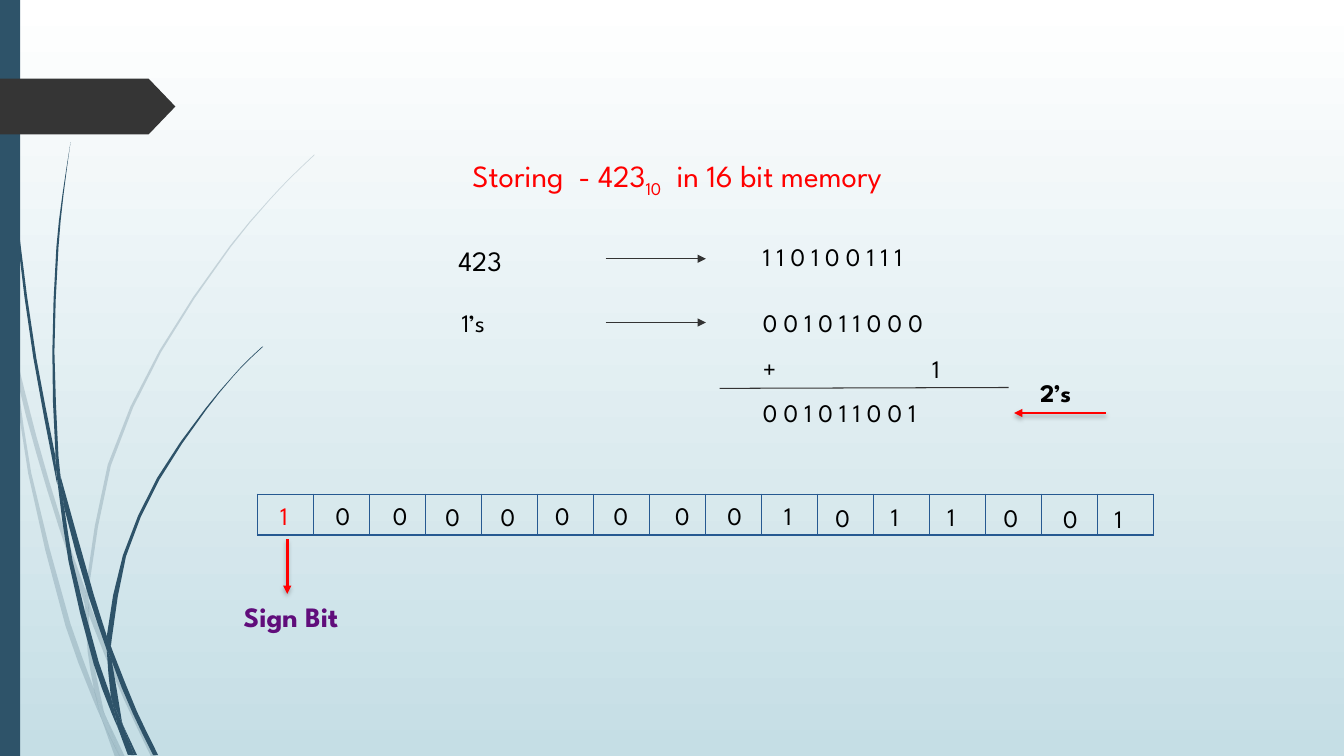
import math
from dataclasses import dataclass

from lxml import etree
from pptx import Presentation, util as u
from pptx.dml import color
from pptx.enum import shapes, text
from pptx.oxml import ns


@dataclass(frozen=True)
class Theme:
    font: str = "League Spartan"
    title_size: int = 22
    label_size: int = 20
    body_size: int = 18
    black: str = "000000"
    red: str = "FF0000"
    purple: str = "600D7B"
    navy: str = "2E5369"
    charcoal: str = "353535"
    line: str = "333333"
    grid: str = "265991"
    sky_top: str = "FFFFFF"
    sky_bottom: str = "C5DEE5"


@dataclass(frozen=True)
class Box:
    left: float
    top: float
    width: float
    height: float

    def lengths(self):
        return [u.Pt(value) for value in (self.left, self.top, self.width, self.height)]


THEME = Theme()

PALE_BLADES = [
    ([(0, 203), (6.5, 231.8), (7.9, 252)], [(7.2, 247.7), (0, 215.3)]),
    ([(10.1, 248.4), (12.2, 270.7), (25.9, 323.6), (41.8, 375.8), (60.5, 431.3)],
     [(61.2, 421.9), (44.6, 374.4), (26, 311.8), (10.1, 248.4)]),
    ([(63.4, 429.1), (63.4, 439.2), (88.6, 499.7), (108, 540.7)],
     [(111.6, 540.7), (91.4, 498.2), (66.2, 437), (63.4, 429.1)]),
    ([(75.6, 511.9), (85.7, 540.7)], [(89.3, 540.7), (75.6, 511.9)]),
    ([(7.9, 252), (20.2, 338.4), (46.8, 447.1), (66.2, 499), (72.7, 514.1)],
     [(71.3, 509), (67, 491.8), (50.4, 445.7), (22.3, 337.7), (12.2, 270.7), (7.9, 252)]),
    ([(60.5, 431.3), (62.6, 465.1), (67, 491.8), (69.1, 498.2), (75.6, 511.9)],
     [(74.2, 508.3), (65.5, 465.1), (63.4, 439.2), (63.4, 437.8), (60.5, 431.3)]),
    ([(224.6, 110.2), (208.1, 126), (193, 141.8), (164.2, 175.7), (113.8, 250.6),
      (77, 331.9), (61.2, 420.5), (61.2, 421.9), (63.4, 429.1)],
     [(63.4, 420.5), (79.2, 332.6), (115.2, 251.3), (164.9, 176.4), (193, 142.6),
      (208.8, 126), (224.6, 110.9)]),
    ([(72.7, 514.1), (82.1, 540.7)], [(85.7, 540.7), (72.7, 514.1)]),
    ([(61.2, 421.9), (60.5, 431.3)], [(63.4, 437.8), (63.4, 429.1)]),
    ([(67, 491.8), (71.3, 509), (72.7, 514.1), (85.7, 540.7)],
     [(75.6, 511.9), (69.1, 498.2), (67, 491.8)]),
]
DARK_BLADES = [
    ([(2.2, 0), (2.9, 34.6), (5, 79.2), (12.2, 167.8), (23.8, 255.6), (40.3, 343.4), (41, 346.3)],
     [(39.6, 329), (39.6, 326.2), (25.9, 255.6), (13.7, 167), (5.8, 78.5), (3.6, 34.6), (2.9, 0)]),
    ([(43.2, 339.8), (46.1, 363.6), (63.4, 426.2), (76.3, 464.4)],
     [(76.3, 455.8), (76.3, 454.3), (67, 424.8), (43.2, 339.8)]),
    ([(79.2, 461.5), (79.9, 472.3), (95, 509.8), (109.4, 539.3)],
     [(113, 539.3), (97.9, 508.3), (81.4, 467.3), (79.2, 461.5)]),
    ([(41, 343.4), (49, 401), (67, 474.5), (79.9, 509.8), (84.2, 519.8)],
     [(83.5, 516.2), (79.2, 497.5), (70.6, 473), (51.8, 400.3), (46.1, 363.6), (41, 343.4)]),
    ([(50.4, 101.5), (44.6, 139), (40.3, 176.4), (37.4, 251.3), (39.6, 323.3), (43.2, 339.8)],
     [(41.8, 326.2), (38.9, 251.3), (41.8, 176.4), (45.4, 139), (50.4, 101.5)]),
    ([(87.8, 517.7), (95.8, 539.3)], [(97.9, 539.3), (87.8, 517.7)]),
    ([(39.6, 323.3), (39.6, 326.2), (41, 343.4), (46.1, 363.6)], [(43.2, 339.8), (39.6, 323.3)]),
    ([(187.2, 247.7), (176.4, 257.8), (166.3, 268.6), (146.9, 291.6), (112.3, 341.3),
      (87.8, 396.7), (76.3, 454.3), (79.2, 461.5)],
     [(79.9, 455.8), (90, 397.4), (113.8, 342.7), (147.6, 292.3), (166.3, 269.3),
      (176.4, 258.5), (187.9, 247.7)]),
    ([(84.2, 519.8), (91.4, 539.3)], [(94.3, 539.3), (84.2, 519.8)]),
    ([(76.3, 464.4), (79.2, 497.5), (83.5, 508.3), (87.8, 517.7)],
     [(87.1, 515.5), (79.9, 472.3), (78.5, 468.7), (76.3, 464.4)]),
    ([(76.3, 454.3), (76.3, 464.4)], [(78.5, 468.7), (79.9, 472.3), (79.2, 461.5)]),
    ([(79.2, 497.5), (83.5, 516.2), (84.2, 519.8), (93.6, 539.3)],
     [(95.8, 539.3), (87.8, 517.7), (83.5, 508.3), (79.2, 497.5)]),
]
BITS = "1000000001011001"
BIT_LEFTS = (9, 48.6, 89.6, 127, 166.6, 205.5, 247.3, 291.2,
             328.6, 369, 405.7, 445.3, 485.6, 525.9, 568.4, 605.1)
BIT_DROPS = (0.5, 0.5, 0.5, 1.2, 1.2, 0.5, 0.5, 0.5, 0.5, 0.5, 2, 1.2, 1.2, 2, 2.7, 2.7)


def rgb(value):
    return color.RGBColor.from_string(value)


def add_child(parent, tag, **attributes):
    return etree.SubElement(parent, ns.qn(tag), attributes)


def add_run(paragraph, words, size, ink=THEME.black, bold=False):
    run = paragraph.add_run()
    run.text = words
    run.font.name, run.font.size, run.font.bold = THEME.font, u.Pt(size), bold
    run.font.color.rgb = rgb(ink)
    return run


def add_label(slide, box, words, size=THEME.body_size, ink=THEME.black, bold=False):
    frame = slide.shapes.add_textbox(*box.lengths()).text_frame
    frame.word_wrap = False
    frame.auto_size = text.MSO_AUTO_SIZE.SHAPE_TO_FIT_TEXT
    add_run(frame.paragraphs[0], words, size, ink, bold)


def add_line(slide, start, end, ink=THEME.line, weight=0.75, arrow=True, shadow=False):
    points = [u.Pt(value) for value in (*start, *end)]
    connector = slide.shapes.add_connector(shapes.MSO_CONNECTOR.STRAIGHT, *points)
    connector.line.color.rgb = rgb(ink)
    connector.line.width = u.Pt(weight)
    if arrow:
        add_child(connector.line._get_or_add_ln(), "a:tailEnd", type="triangle")
    effects = add_child(connector._element.spPr, "a:effectLst")
    if shadow:
        outer = add_child(effects, "a:outerShdw", blurRad=str(u.Pt(3)),
                          dist=str(u.Pt(2)), dir="5400000", rotWithShape="0")
        add_child(add_child(outer, "a:srgbClr", val=THEME.black), "a:alpha", val="25000")


def paint(shape, ink, opacity=100):
    shape.shadow.inherit = False
    shape.line.fill.background()
    shape.fill.solid()
    shape.fill.fore_color.rgb = rgb(ink)
    if opacity < 100:
        swatch = shape._element.spPr.find(".//" + ns.qn("a:srgbClr"))
        add_child(swatch, "a:alpha", val=str(opacity * 1000))


def smooth(edge):
    padded = [edge[0], *edge, edge[-1]]
    for a, b, c, d in zip(padded, padded[1:], padded[2:], padded[3:]):
        reach = math.dist(b, c) / 8
        before, after = reach / math.dist(a, c), reach / math.dist(b, d)
        yield b
        yield tuple((q + r) / 2 + (r - p) * before - (s - q) * after
                    for p, q, r, s in zip(a, b, c, d))
    yield edge[-1]


def add_blade(slide, box, edges, opacity):
    points = [(u.Pt(box.left + x), u.Pt(box.top + y)) for edge in edges for x, y in smooth(edge)]
    builder = slide.shapes.build_freeform(*points[0], scale=1.0)
    builder.add_line_segments(points[1:], close=True)
    paint(builder.convert_to_shape(), THEME.navy, opacity)


def add_backdrop(slide, box):
    fill = slide.background.fill
    fill.gradient()
    fill.gradient_angle = 270
    for stop, ink in zip(fill.gradient_stops, (THEME.sky_top, THEME.sky_bottom)):
        stop.color.rgb = rgb(ink)
    for blades, opacity in ((PALE_BLADES, 20), (DARK_BLADES, 100)):
        for edges in blades:
            add_blade(slide, box, edges, opacity)
    bar = Box(box.left, box.top, 14.4, box.height)
    marker = Box(box.left, box.top + 56.2, 125.3, 39.8)
    paint(slide.shapes.add_shape(shapes.MSO_SHAPE.RECTANGLE, *bar.lengths()), THEME.navy)
    tag = slide.shapes.add_shape(shapes.MSO_SHAPE.PENTAGON, *marker.lengths())
    tag.adjustments[0] = 0.48
    paint(tag, THEME.charcoal)


def add_title(slide, box):
    title = slide.shapes.title
    title.left, title.top, title.width, title.height = box.lengths()
    frame = title.text_frame
    frame.auto_size = text.MSO_AUTO_SIZE.NONE
    frame.vertical_anchor = text.MSO_ANCHOR.TOP
    paragraph = frame.paragraphs[0]
    paragraph.alignment = text.PP_ALIGN.LEFT
    paragraph.line_spacing = 1.0
    for words, baseline in (("Storing  - 423", 0), ("10", -25000), ("  in 16 bit memory", 0)):
        run = add_run(paragraph, words, THEME.title_size, THEME.red)
        run.font._element.set("baseline", str(baseline))


def add_working(slide, box):
    x, y = box.left, box.top
    add_label(slide, Box(x, y + 1.3, 48, 31.5), "423", THEME.label_size)
    add_label(slide, Box(x + 2.2, y + 47, 43, 29), "1’s")
    for offset in (15.8, 61.4):
        add_line(slide, (x + 112.3, y + offset), (x + 183.8, y + offset))
    sums = ((217.4, 0, 146, "1 1 0 1 0 0 1 1 1"), (217.4, 47, 146, "0 0 1 0 1 1 0 0 0"),
            (217.4, 79.5, 25, "+"), (338.4, 79.5, 24.5, "1"),
            (217.4, 111, 146, "0 0 1 0 1 1 0 0 1"))
    for left, top, width, digits in sums:
        add_label(slide, Box(x + left, y + top, width, 29), digits)
    add_line(slide, (x + 193.7, y + 108.4), (x + 400, y + 107.8), arrow=False)
    add_label(slide, Box(x + 415.4, y + 96.7, 38, 29), "2’s", bold=True)
    add_line(slide, (x + 469.5, y + 126), (x + 404, y + 126), THEME.red, 1.75, shadow=True)


def add_register(slide, box):
    table = slide.shapes.add_table(1, len(BITS), *box.lengths()).table
    table.first_row = table.horz_banding = False
    for column, cell in zip(table.columns, table.rows[0].cells):
        column.width = u.Pt(box.width / len(BITS))
        for side, weight in (("L", 1), ("R", 1), ("T", 1), ("B", 2)):
            edge = add_child(cell._tc.get_or_add_tcPr(), "a:ln" + side, w=str(u.Pt(weight)))
            add_child(add_child(edge, "a:solidFill"), "a:srgbClr", val=THEME.grid)
        cell.fill.background()
    for place, (bit, left, drop) in enumerate(zip(BITS, BIT_LEFTS, BIT_DROPS)):
        add_label(slide, Box(box.left + left, box.top + drop, 24.5, 29), bit,
                  ink=THEME.black if place else THEME.red)
    x, y = box.left + 21.2, box.top + box.height
    add_line(slide, (x, y + 3), (x, y + 42), THEME.red, 1.75, shadow=True)
    add_label(slide, Box(x - 38.2, y + 42.2, 83.5, 31.5), "Sign Bit",
              THEME.label_size, THEME.purple, True)


def main():
    presentation = Presentation()
    presentation.slide_width, presentation.slide_height = u.Pt(960), u.Pt(540)
    slide = presentation.slides.add_slide(presentation.slide_layouts[5])
    add_backdrop(slide, Box(0, 0, 960, 540))
    add_title(slide, Box(330.3, 108.2, 561, 60.5))
    add_working(slide, Box(320.4, 169, 470, 140))
    add_register(slide, Box(184, 353, 640, 29.2))
    presentation.save("out.pptx")


if __name__ == "__main__":
    main()
